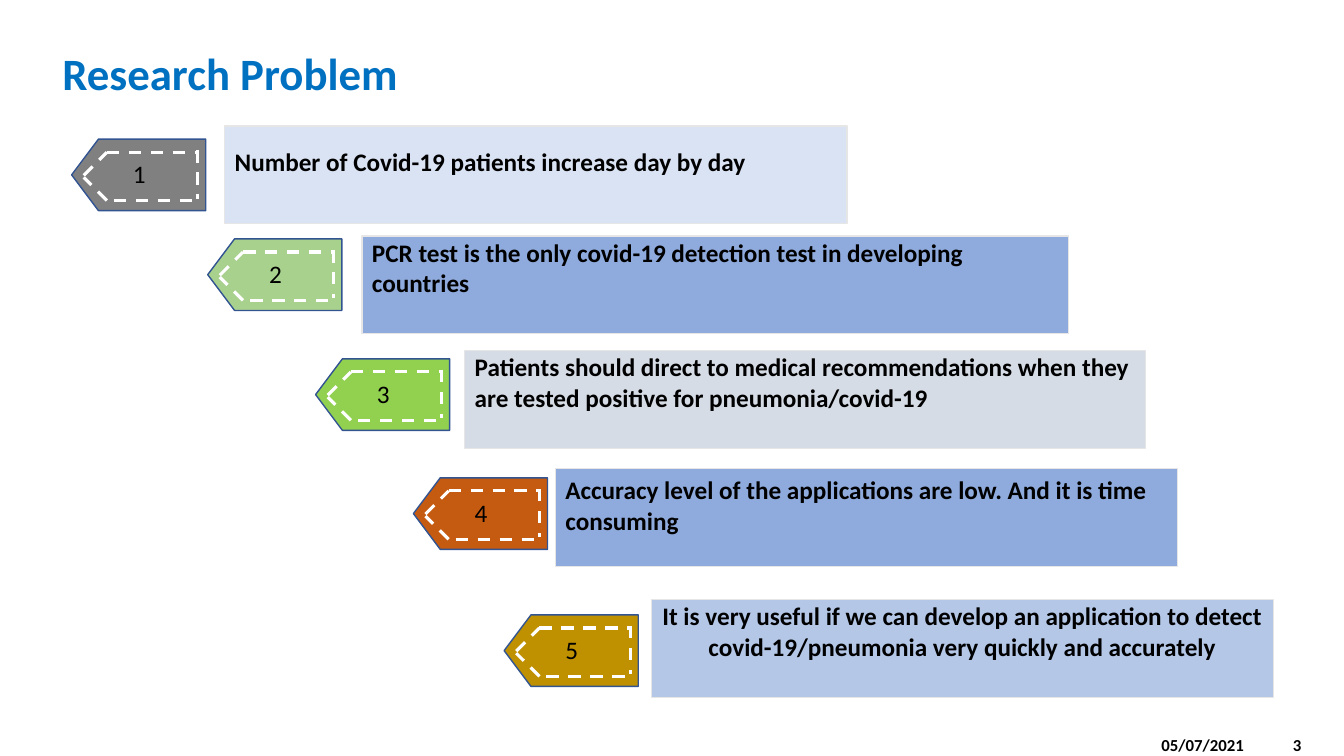
from lxml import etree
from pptx import Presentation
from pptx.dml.color import RGBColor
from pptx.enum import dml, shapes, text
from pptx.oxml import ns
from pptx.util import Inches, Pt

WHITE = RGBColor(0xFF, 0xFF, 0xFF)
BLACK = RGBColor(0x00, 0x00, 0x00)
TITLE_BLUE = RGBColor(0x00, 0x70, 0xC0)
PANEL_EDGE = RGBColor(0xE7, 0xE6, 0xE6)
TAG_EDGE = RGBColor(0x32, 0x54, 0x91)
PALE_BLUE = RGBColor(0xDA, 0xE3, 0xF3)
MID_BLUE = RGBColor(0x8F, 0xAA, 0xDC)
LIGHT_BLUE = RGBColor(0xB4, 0xC7, 0xE7)
BLUE_GREY = RGBColor(0xD6, 0xDC, 0xE5)
GREY = RGBColor(0x80, 0x80, 0x80)
SAGE = RGBColor(0xA9, 0xD1, 0x8E)
GREEN = RGBColor(0x92, 0xD0, 0x50)
RUST = RGBColor(0xC5, 0x5A, 0x11)
GOLD = RGBColor(0xBF, 0x90, 0x00)

LEFT, CENTER = text.PP_ALIGN.LEFT, text.PP_ALIGN.CENTER
TOP, MIDDLE = text.MSO_ANCHOR.TOP, text.MSO_ANCHOR.MIDDLE

TAG_LENGTH, TAG_HEIGHT = 1.33, 0.71
STITCHES = [
    (0.35, 0.13, 1.25, 0.13),
    (0.42, 0.61, 1.25, 0.61),
    (0.12, 0.36, 0.35, 0.13),
    (0.35, 0.61, 0.12, 0.38),
    (1.25, 0.11, 1.25, 0.59),
]

PROBLEMS = [
    ("Number of Covid-19 patients increase day by day",
     (2.23, 1.25, 6.17), PALE_BLUE, 0.2, LEFT, (0.71, 1.38), GREY),
    ("PCR test is the only covid-19 detection test in developing countries",
     (3.59, 2.34, 7.01), MID_BLUE, 0.01, LEFT, (2.06, 2.37), SAGE),
    ("Patients should direct to medical recommendations when they "
     "are tested positive for pneumonia/covid-19",
     (4.61, 3.48, 6.75), BLUE_GREY, 0.01, LEFT, (3.13, 3.56), GREEN),
    ("Accuracy level of the applications are low. And it is time consuming",
     (5.51, 4.65, 6.17), MID_BLUE, 0.06, LEFT, (4.1, 4.74), RUST),
    ("It is very useful if we can develop an application to detect "
     "covid-19/pneumonia very quickly and accurately",
     (6.46, 5.95, 6.17), LIGHT_BLUE, 0.01, CENTER, (5, 6.1), GOLD),
]


def write(sp, content, size=18, color=BLACK, bold=False, align=LEFT,
          anchor=TOP, inset=0.05, spacing=None, tab=None):
    """Put one formatted paragraph in a shape."""
    tf = sp.text_frame
    tf.word_wrap = True
    tf.vertical_anchor = anchor
    tf.margin_top = Inches(inset)
    tf.margin_bottom = 0
    p = tf.paragraphs[0]
    p.alignment = align
    if spacing:
        p.line_spacing = spacing
    if tab:
        tabs = etree.SubElement(p._p.get_or_add_pPr(), ns.qn("a:tabLst"))
        etree.SubElement(tabs, ns.qn("a:tab"), pos=str(Inches(tab)), algn="r")
    r = p.add_run()
    r.text = content
    r.font.name = "Calibri"
    r.font.size = Pt(size)
    r.font.bold = bold
    r.font.color.rgb = color


def add_label(slide, content, x, y, w, h, **style):
    """Add a text box with formatted text."""
    sp = slide.shapes.add_textbox(Inches(x), Inches(y), Inches(w), Inches(h))
    write(sp, content, **style)


def add_block(slide, kind, x, y, w, h, fill, edge):
    """Add a filled preset shape with a thin outline."""
    sp = slide.shapes.add_shape(kind, Inches(x), Inches(y), Inches(w), Inches(h))
    sp.shadow.inherit = False
    sp.fill.solid()
    sp.fill.fore_color.rgb = fill
    sp.line.color.rgb = edge
    sp.line.width = Pt(1)
    return sp


def add_stitch(slide, x1, y1, x2, y2):
    """Add a dashed white line."""
    line = slide.shapes.add_connector(
        shapes.MSO_CONNECTOR.STRAIGHT,
        Inches(x1), Inches(y1), Inches(x2), Inches(y2))
    line.line.color.rgb = WHITE
    line.line.width = Pt(2.25)
    line.line.dash_style = dml.MSO_LINE.DASH
    etree.SubElement(line._element.spPr, ns.qn("a:effectLst"))


def add_tag(slide, number, x, y, fill):
    """Add a numbered tag that points left, with a stitched border."""
    shift = (TAG_LENGTH - TAG_HEIGHT) / 2
    sp = add_block(slide, shapes.MSO_SHAPE.FLOWCHART_OFFPAGE_CONNECTOR,
                   x + shift, y - shift, TAG_HEIGHT, TAG_LENGTH, fill, TAG_EDGE)
    sp.rotation = 90
    for x1, y1, x2, y2 in STITCHES:
        add_stitch(slide, x + x1, y + y1, x + x2, y + y2)
    add_label(slide, str(number), x + 0.51, y + 0.14, 0.83, 0.4)


def main():
    """Build the slide and save it."""
    prs = Presentation()
    prs.slide_width, prs.slide_height = Inches(13.33), Inches(7.5)
    slide = prs.slides.add_slide(prs.slide_layouts[6])
    add_label(slide, "Research Problem", 0.52, 0.27, 6.47, 0.97, size=32,
              color=TITLE_BLUE, bold=True, anchor=MIDDLE, inset=0, spacing=0.9)
    for number, problem in enumerate(PROBLEMS, 1):
        content, (x, y, w), fill, inset, align, tag, tag_fill = problem
        panel = add_block(slide, shapes.MSO_SHAPE.RECTANGLE,
                          x, y, w, 0.97, fill, PANEL_EDGE)
        write(panel, content, bold=True, align=align, inset=inset)
        add_tag(slide, number, *tag, tag_fill)
    add_label(slide, "05/07/2021\t3", 11.42, 7.29, 1.59, 0.2, size=12,
              bold=True, anchor=MIDDLE, inset=0, tab=1.39)
    prs.save("out.pptx")


if __name__ == "__main__":
    main()
